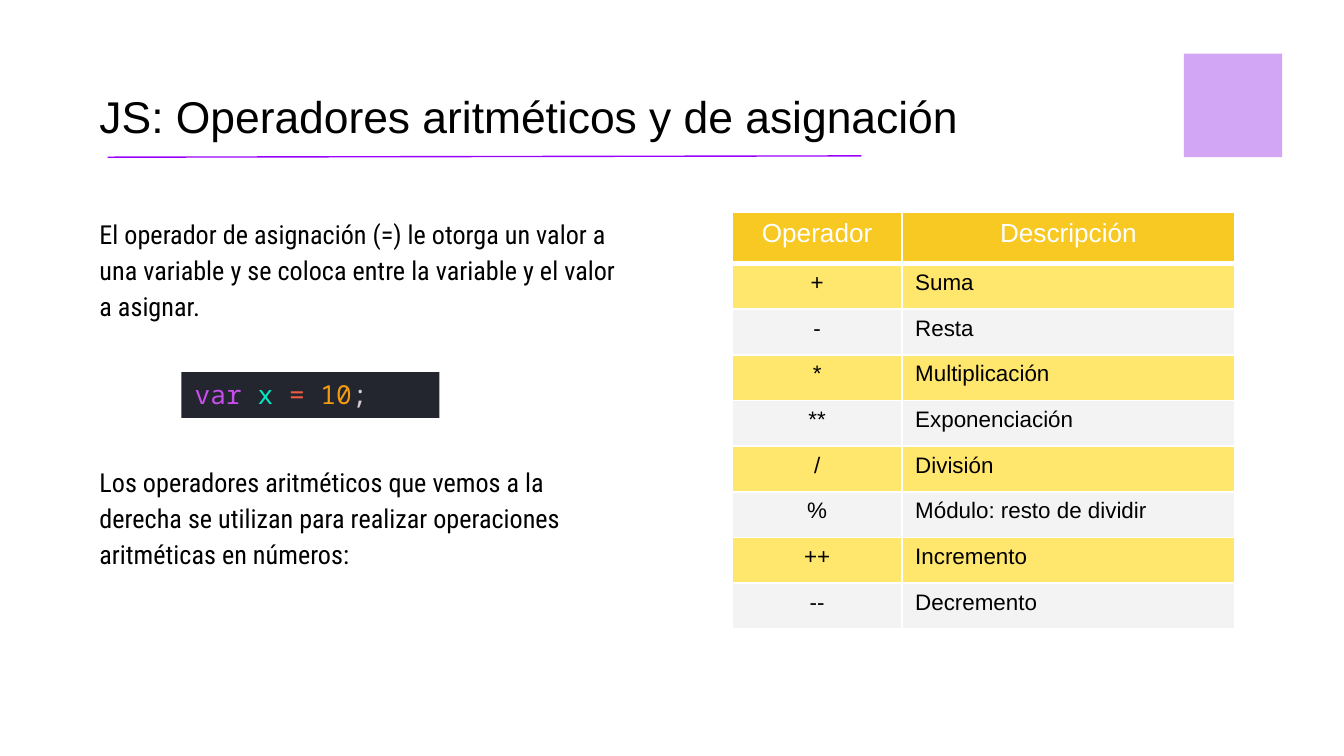
from lxml import etree
from pptx import Presentation
from pptx.dml.color import RGBColor
from pptx.enum import shapes, text
from pptx.oxml.ns import qn
from pptx.util import Inches, Pt

BLACK = RGBColor(0x00, 0x00, 0x00)
WHITE = RGBColor(0xFF, 0xFF, 0xFF)
PURPLE = RGBColor(0x99, 0x00, 0xFF)
LILAC = RGBColor(0xD2, 0xA6, 0xF4)
GOLD = RGBColor(0xF8, 0xC8, 0x23)
YELLOW = RGBColor(0xFF, 0xE6, 0x6D)
GREY = RGBColor(0xF3, 0xF3, 0xF3)
CODE_BACK = RGBColor(0x23, 0x26, 0x2E)

LEFT, CENTER = text.PP_ALIGN.LEFT, text.PP_ALIGN.CENTER

BODY = [
    ("El operador de asignación (=) le otorga un valor a una variable "
     "y se coloca entre la variable y el valor a asignar.", 0),
    ("Los operadores aritméticos que vemos a la derecha se utilizan "
     "para realizar operaciones aritméticas en números:", 75),
]
# The spaces in the code are no-break spaces
CODE = [
    ("var ", RGBColor(0xC7, 0x4D, 0xED)),
    ("x ", RGBColor(0x00, 0xE8, 0xC6)),
    ("= ", RGBColor(0xEE, 0x5D, 0x43)),
    ("10", RGBColor(0xF3, 0x9C, 0x12)),
    (";", RGBColor(0xD5, 0xCE, 0xD9)),
]
OPERATORS = [
    ("Operador", "Descripción"),
    ("+", "Suma"),
    ("-", "Resta"),
    ("*", "Multiplicación"),
    ("**", "Exponenciación"),
    ("/", "División"),
    ("%", "Módulo: resto de dividir"),
    ("++", "Incremento"),
    ("--", "Decremento"),
]


def write(para, words, *, size=14, font="Arial", color=BLACK, align=LEFT,
          spacing=1.0, before=0):
    """Add a formatted span to a paragraph."""
    para.alignment = align
    para.line_spacing = spacing
    para.space_before = Pt(before)
    para.space_after = Pt(0)
    span = para.add_run()
    span.text = words
    span.font.size = Pt(size)
    span.font.name = font
    span.font.bold = False
    span.font.color.rgb = color


def place(box, left, top, width, height):
    box.left, box.top = Inches(left), Inches(top)
    box.width, box.height = Inches(width), Inches(height)


def set_frame(box, anchor, top_inset=0.1, bottom_inset=0.1):
    frame = box.text_frame
    frame.word_wrap = True
    frame.auto_size = text.MSO_AUTO_SIZE.NONE
    frame.vertical_anchor = anchor
    frame.margin_left = frame.margin_right = Inches(0.1)
    frame.margin_top = Inches(top_inset)
    frame.margin_bottom = Inches(bottom_inset)
    return frame


def remove_bullet(para):
    properties = para._p.get_or_add_pPr()
    properties.set("marL", "0")
    properties.set("indent", "0")
    etree.SubElement(properties, qn("a:buNone"))


def add_block(slide, left, top, width, height, color):
    block = slide.shapes.add_shape(
        shapes.MSO_SHAPE.RECTANGLE,
        Inches(left), Inches(top), Inches(width), Inches(height))
    block.shadow.inherit = False
    block.fill.solid()
    block.fill.fore_color.rgb = color
    block.line.fill.background()
    return block


def add_rule(slide, start, end, color, width):
    rule = slide.shapes.add_connector(
        shapes.MSO_CONNECTOR.STRAIGHT, *map(Inches, start + end))
    rule.line.color.rgb = color
    rule.line.width = Pt(width)
    etree.SubElement(rule._element.spPr, qn("a:effectLst"))


def set_borders(cell, color, **widths):
    """Draw the L, R, T and B borders, one point unless a width is given."""
    properties = cell._tc.get_or_add_tcPr()
    for side in "LRTB":
        line = etree.SubElement(properties, qn(f"a:ln{side}"),
                                w=str(int(Pt(widths.get(side, 1)))))
        fill = etree.SubElement(line, qn("a:solidFill"))
        etree.SubElement(fill, qn("a:srgbClr"), val=str(color))


def add_operator_table(slide):
    column_widths = (1.26, 2.48)
    header_height, row_height = 0.38, 0.34
    total_height = header_height + row_height * (len(OPERATORS) - 1)
    table = slide.shapes.add_table(
        len(OPERATORS), len(column_widths), Inches(5.45), Inches(1.58),
        Inches(sum(column_widths)), Inches(total_height)).table
    for column, width in zip(table.columns, column_widths):
        column.width = Inches(width)
    for i, row in enumerate(OPERATORS):
        header = i == 0
        table.rows[i].height = Inches(header_height if header else row_height)
        for j, words in enumerate(row):
            cell = table.cell(i, j)
            set_borders(cell, WHITE, B=3 if header else 1, T=3 if i == 1 else 1)
            cell.fill.solid()
            cell.fill.fore_color.rgb = (
                GOLD if header else YELLOW if i % 2 else GREY)
            write(cell.text_frame.paragraphs[0], words,
                  size=14 if header else 12,
                  color=WHITE if header else BLACK,
                  align=CENTER if header or j == 0 else LEFT)


def main():
    deck = Presentation()
    deck.slide_width = Inches(10)
    deck.slide_height = deck.slide_width * 9 // 16
    page = deck.slides.add_slide(deck.slide_layouts[1])
    title, body = page.placeholders

    # Title with its underline and corner block
    place(title, 0.64, 0.14, 8.38, 1.02)
    frame = set_frame(title, text.MSO_ANCHOR.BOTTOM)
    write(frame.paragraphs[0], "JS: Operadores aritméticos y de asignación",
          size=23.8, spacing=1.2)
    add_rule(page, (0.8, 1.17), (6.41, 1.16), PURPLE, 0.75)
    add_block(page, 8.81, 0.4, 0.73, 0.77, LILAC)

    # Explanation, with a gap left for the code sample
    place(body, 0.64, 1.26, 4.07, 3.74)
    frame = set_frame(body, text.MSO_ANCHOR.TOP, top_inset=0.33)
    for i, (words, before) in enumerate(BODY):
        para = frame.add_paragraph() if i else frame.paragraphs[0]
        write(para, words, font="Roboto Condensed", spacing=1.15, before=before)
        remove_bullet(para)

    # Operator table
    add_operator_table(page)

    # Code sample
    sample = add_block(page, 1.35, 2.77, 1.92, 0.34, CODE_BACK)
    frame = set_frame(sample, text.MSO_ANCHOR.TOP, 0.05, 0.05)
    for words, color in CODE:
        write(frame.paragraphs[0], words, font="Noto Sans Mono", color=color)

    deck.save("out.pptx")


if __name__ == "__main__":
    main()
